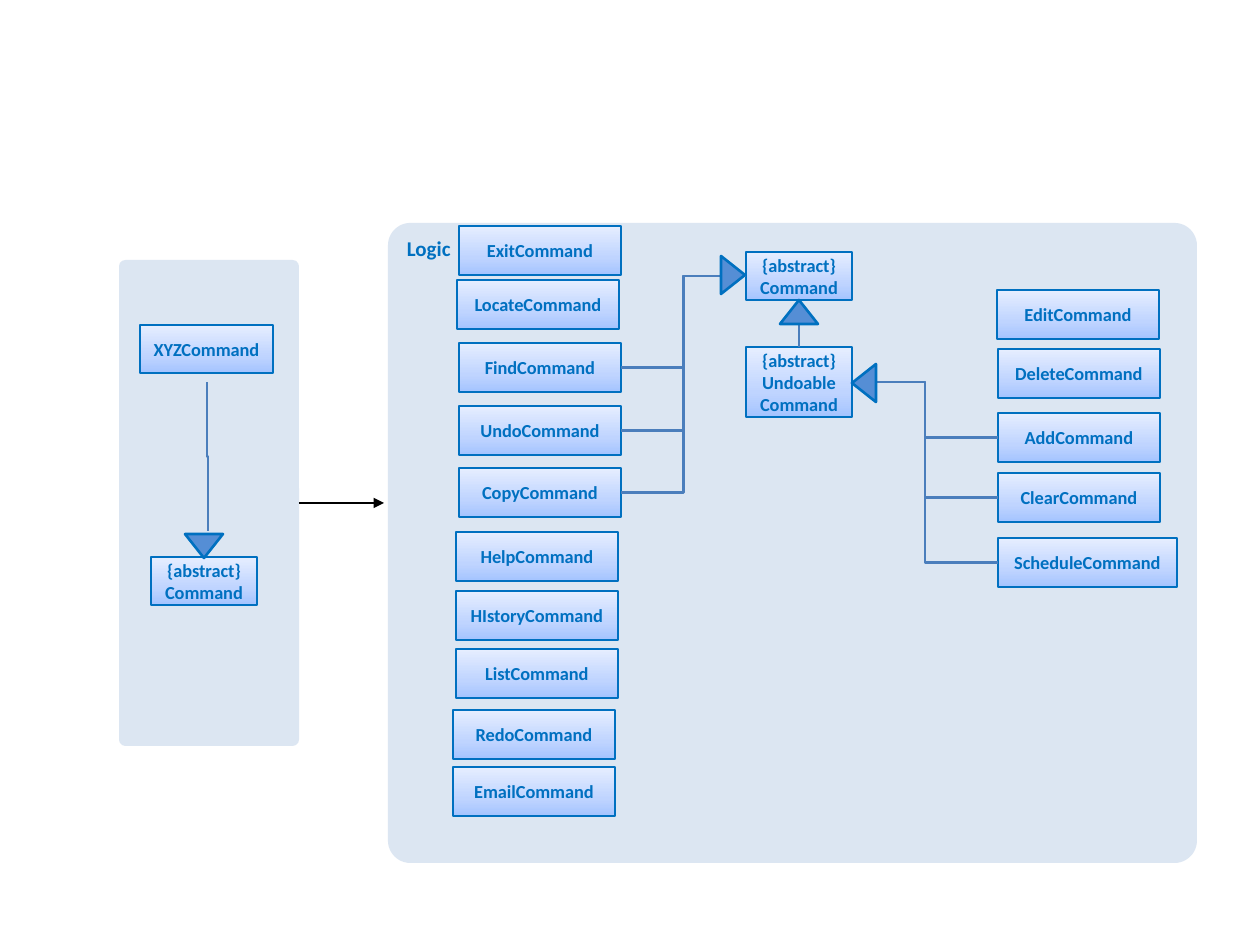
from copy import deepcopy
from dataclasses import dataclass

from lxml import etree
from pptx import Presentation
from pptx.dml.color import RGBColor
from pptx.enum.shapes import MSO_CONNECTOR, MSO_SHAPE
from pptx.enum.text import MSO_ANCHOR, PP_ALIGN
from pptx.oxml.ns import qn
from pptx.util import Pt

EMU_PER_PX = 914400 / 126
RECTANGLE = MSO_SHAPE.RECTANGLE
ROUNDED = MSO_SHAPE.ROUNDED_RECTANGLE
TRIANGLE = MSO_SHAPE.ISOSCELES_TRIANGLE
STRAIGHT, ELBOW = MSO_CONNECTOR.STRAIGHT, MSO_CONNECTOR.ELBOW
TOP, LEFT, BOTTOM, RIGHT = range(4)


def px(length):
    return round(length * EMU_PER_PX)


@dataclass(frozen=True)
class Theme:
    font: str = "Calibri"
    title_size: float = 12
    class_size: float = 10.5
    line_width: float = 1.5
    panel: str = "DCE6F2"
    accent: str = "0070C0"
    inheritance: str = "4B7EBC"
    arrowhead: str = "558ED5"
    flow: str = "000000"
    gradient: tuple = ((0, "A4C4FF"), (0.35, "BFD4FF"), (1, "E6EEFF"))


class Diagram:
    def __init__(self, slide, theme):
        self.slide = slide
        self.theme = theme

    def _shape(self, kind, x, y, width, height):
        shape = self.slide.shapes.add_shape(kind, px(x), px(y), px(width), px(height))
        shape.shadow.inherit = False
        return shape

    def _outline(self, line, colour):
        line.color.rgb = RGBColor.from_string(colour)
        line.width = Pt(self.theme.line_width)

    def _write(self, shape, paragraphs, size, align, anchor):
        """Each paragraph is a list of lines parted by line breaks."""
        frame = shape.text_frame
        frame.word_wrap = True
        frame.vertical_anchor = anchor
        for index, lines in enumerate(paragraphs):
            paragraph = frame.add_paragraph() if index else frame.paragraphs[0]
            paragraph.alignment = align
            for number, text in enumerate(lines):
                if number:
                    paragraph.add_line_break()
                run = paragraph.add_run()
                run.text = text
                run.font.name = self.theme.font
                run.font.size = Pt(size)
                run.font.bold = True
                run.font.color.rgb = RGBColor.from_string(self.theme.accent)

    def panel(self, x, y, width, height, title=None):
        panel = self._shape(ROUNDED, x, y, width, height)
        panel.adjustments[0] = 0.035
        panel.fill.solid()
        panel.fill.fore_color.rgb = RGBColor.from_string(self.theme.panel)
        panel.line.fill.background()
        if title:
            self._write(panel, [[title]], self.theme.title_size,
                        PP_ALIGN.LEFT, MSO_ANCHOR.TOP)
        return panel

    def class_box(self, x, y, width, height, *paragraphs):
        box = self._shape(RECTANGLE, x, y, width, height)
        box.fill.gradient()
        box.fill.gradient_angle = 90
        stops = box._element.spPr.find(".//" + qn("a:gsLst"))
        stops.append(deepcopy(stops[0]))
        for stop, (position, colour) in zip(box.fill.gradient_stops, self.theme.gradient):
            stop.position = position
            stop.color.rgb = RGBColor.from_string(colour)
        self._outline(box.line, self.theme.accent)
        self._write(box, paragraphs, self.theme.class_size,
                    PP_ALIGN.CENTER, MSO_ANCHOR.MIDDLE)
        return box

    def arrowhead(self, centre_x, centre_y, rotation):
        head = self._shape(TRIANGLE, centre_x - 19, centre_y - 12, 38, 24)
        head.rotation = rotation
        head.fill.solid()
        head.fill.fore_color.rgb = RGBColor.from_string(self.theme.arrowhead)
        self._outline(head.line, self.theme.accent)

    def _connector(self, kind, start, end, colour):
        connector = self.slide.shapes.add_connector(kind, *map(px, (*start, *end)))
        self._outline(connector.line, colour)
        etree.SubElement(connector._element.spPr, qn("a:effectLst"))
        return connector

    def inheritance(self, kind, parent, parent_side, child, child_side):
        connector = self._connector(kind, (0, 0), (0, 0), self.theme.inheritance)
        connector.begin_connect(parent, parent_side)
        connector.end_connect(child, child_side)

    def upright_elbow(self, start, end):
        """An elbow that leaves vertically: a level one turned by 90 degrees."""
        centre_x, centre_y = (start[0] + end[0]) / 2, (start[1] + end[1]) / 2
        turned = [(centre_x + y - centre_y, centre_y - x + centre_x)
                  for x, y in (start, end)]
        connector = self._connector(ELBOW, *turned, self.theme.inheritance)
        connector._element.spPr.find(qn("a:xfrm")).set("rot", str(90 * 60000))

    def flow_arrow(self, source, side, end):
        arrow = self._connector(STRAIGHT, end, end, self.theme.flow)
        arrow.begin_connect(source, side)
        line = arrow.line._get_or_add_ln()
        etree.SubElement(line, qn("a:tailEnd"), type="triangle")


def main():
    prs = Presentation()
    prs.slide_width, prs.slide_height = px(1260), px(945)
    diagram = Diagram(prs.slides.add_slide(prs.slide_layouts[6]), Theme())

    # Panels
    legend = diagram.panel(119, 260, 180, 486)
    diagram.panel(388, 223, 809, 640, "Logic")
    diagram.flow_arrow(legend, RIGHT, (384, 503))

    # Legend: any concrete command inherits from Command
    abstract_command = ["{abstract}", "Command"]
    diagram.class_box(140, 325, 133, 48, ["XYZCommand"])
    diagram.class_box(151, 557, 106, 48, abstract_command)
    diagram.upright_elbow((208, 531), (207, 382))
    diagram.arrowhead(204, 546, 180)

    # Abstract classes
    command = diagram.class_box(746, 252, 106, 48, abstract_command)
    undoable = diagram.class_box(746, 347, 106, 70,
                                 ["{abstract}", "Undoable"], ["Command"])

    # Concrete commands: name, left, top, width
    concrete = [
        ("Exit", 459, 226, 162),
        ("Locate", 457, 280, 162),
        ("Find", 459, 343, 162),
        ("Undo", 459, 406, 162),
        ("Copy", 459, 468, 162),
        ("Help", 456, 532, 162),
        ("HIstory", 456, 591, 162),
        ("List", 456, 649, 162),
        ("Redo", 453, 710, 162),
        ("Email", 453, 767, 162),
        ("Edit", 997, 290, 162),
        ("Delete", 998, 349, 162),
        ("Add", 998, 413, 162),
        ("Clear", 998, 473, 162),
        ("Schedule", 998, 538, 179),
    ]
    boxes = {name: diagram.class_box(left, top, width, 49, [name + "Command"])
             for name, left, top, width in concrete}

    # Inheritance lines
    diagram.inheritance(STRAIGHT, command, BOTTOM, undoable, TOP)
    for name in ("Find", "Undo", "Copy"):
        diagram.inheritance(ELBOW, command, LEFT, boxes[name], RIGHT)
    for name in ("Add", "Clear", "Schedule"):
        diagram.inheritance(ELBOW, undoable, RIGHT, boxes[name], LEFT)

    # Inheritance arrowheads
    diagram.arrowhead(799, 312, 0)
    diagram.arrowhead(733, 275, 90)
    diagram.arrowhead(864, 383, 270)

    prs.save("out.pptx")


if __name__ == "__main__":
    main()
